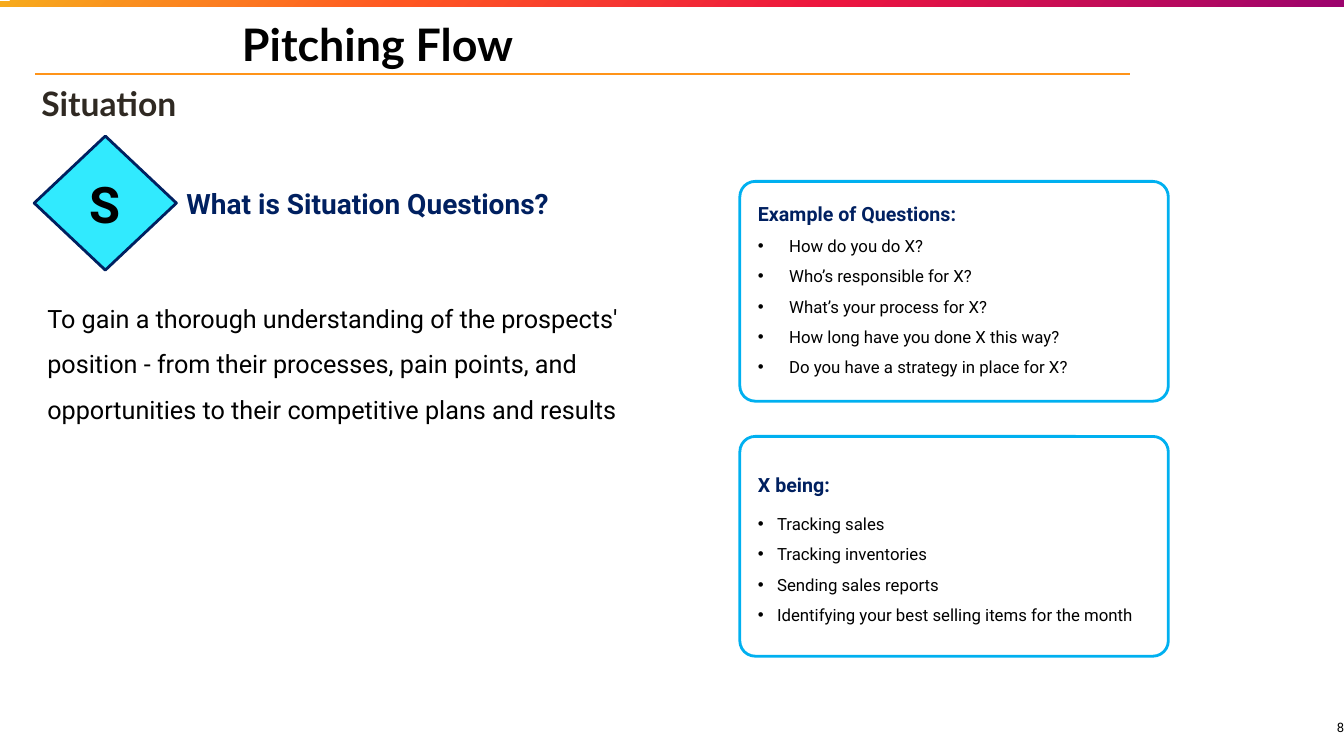
from dataclasses import dataclass

from lxml import etree
from pptx import Presentation
from pptx.dml.color import RGBColor
from pptx.enum.shapes import MSO_CONNECTOR, MSO_SHAPE
from pptx.enum.text import MSO_ANCHOR, PP_ALIGN
from pptx.oxml import parse_xml
from pptx.oxml.ns import nsdecls, qn
from pptx.util import Inches, Pt

COLORS = {
    "black": "000000", "brown": "2F2922", "navy": "002060", "cyan": "31EAFE",
    "sky": "00B0F0", "orange": "FF9419",
}
BAR_STOPS = [(0, "F7AB1D"), (30, "FF5722"), (62, "EC153F"), (100, "9C036D")]
BODY = ("To gain a thorough understanding of the prospects' position - from their processes, "
        "pain points, and opportunities to their competitive plans and results")
QUESTIONS = ["How do you do X?", "Who’s responsible for X?", "What’s your process for X?",
             "How long have you done X this way?", "Do you have a strategy in place for X?"]
SUBJECTS = ["Tracking sales", "Tracking inventories", "Sending sales reports",
            "Identifying your best selling items for the month"]
WIDE_INSETS = (0.1, 0.05)
SLIM_INSETS = (0.03, 0.03)


@dataclass
class Box:
    """A rectangle in EMU whose areas are given in percent of its size."""
    left: int
    top: int
    width: int
    height: int

    def area(self, left, top, width, height):
        """Return the box at the given percentages of this one."""
        return Box(self.left + int(self.width * left / 100), self.top + int(self.height * top / 100),
                   int(self.width * width / 100), int(self.height * height / 100))

    def bounds(self):
        """Return left, top, width and height."""
        return self.left, self.top, self.width, self.height


def rgb(name):
    """Look up a named colour."""
    return RGBColor.from_string(COLORS[name])


def write(shape, lines, size, color="black", bold=False, font="Roboto", align=PP_ALIGN.LEFT,
          anchor=MSO_ANCHOR.TOP, insets=WIDE_INSETS, spacing=None, bullet_indent=None):
    """Fill a shape with equally formatted paragraphs."""
    frame = shape.text_frame
    frame.text = "\n".join(lines)
    frame.word_wrap = True
    frame.vertical_anchor = anchor
    frame.margin_left = frame.margin_right = Inches(insets[0])
    frame.margin_top = frame.margin_bottom = Inches(insets[1])
    for paragraph in frame.paragraphs:
        paragraph.alignment = align
        if spacing:
            paragraph.line_spacing = spacing
        if bullet_indent:
            add_bullet(paragraph, bullet_indent)
        for run in paragraph.runs:
            run.font.name, run.font.size, run.font.bold = font, Pt(size), bold
            run.font.color.rgb = rgb(color)


def add_bullet(paragraph, indent):
    """Give a paragraph a black hanging bullet."""
    properties = paragraph._p.get_or_add_pPr()
    properties.set("marL", str(Inches(indent)))
    properties.set("indent", str(-Inches(indent)))
    color = etree.SubElement(properties, qn("a:buClr"))
    etree.SubElement(color, qn("a:srgbClr"), val=COLORS["black"])
    etree.SubElement(properties, qn("a:buFont"), typeface="Arial")
    etree.SubElement(properties, qn("a:buChar"), char="•")


def add_text(slide, box, lines, size, **style):
    """Add a text box."""
    write(slide.shapes.add_textbox(*box.bounds()), lines, size, **style)


def add_outline(slide, kind, box, line, fill=None):
    """Add a preset shape with a 2 pt outline."""
    shape = slide.shapes.add_shape(kind, *box.bounds())
    shape.shadow.inherit = False
    shape.line.color.rgb = rgb(line)
    shape.line.width = Pt(2)
    if fill:
        shape.fill.solid()
        shape.fill.fore_color.rgb = rgb(fill)
    else:
        shape.fill.background()
    return shape


def add_top_bar(slide, box):
    """Add the gradient bar."""
    bar = slide.shapes.add_shape(MSO_SHAPE.RECTANGLE, *box.bounds())
    bar.shadow.inherit = False
    bar.line.fill.background()
    bar.fill.gradient()
    gradient = bar._element.spPr.find(qn("a:gradFill"))
    stops = "".join(f'<a:gs pos="{position * 1000}"><a:srgbClr val="{color}"/></a:gs>'
                    for position, color in BAR_STOPS)
    gradient.getparent().replace(gradient, parse_xml(
        f'<a:gradFill {nsdecls("a")} rotWithShape="1"><a:gsLst>{stops}</a:gsLst>'
        '<a:lin ang="2700000" scaled="0"/></a:gradFill>'))


def add_header(slide, box):
    """Add the title, the rule below it and the subtitle."""
    rule = box.area(2.63, 9.8, 81.45, 0)
    connector = slide.shapes.add_connector(MSO_CONNECTOR.STRAIGHT, rule.left, rule.top,
                                           rule.left + rule.width, rule.top)
    connector.line.color.rgb = rgb("orange")
    connector.line.width = Pt(1.5)
    etree.SubElement(connector._element.spPr, qn("a:effectLst"))
    style = dict(font="Lato", bold=True, anchor=MSO_ANCHOR.MIDDLE, insets=SLIM_INSETS)
    add_text(slide, box.area(2.85, 10.93, 80.85, 5.33), ["Situation"], 24, color="brown", **style)
    add_text(slide, box.area(17.78, 0.67, 63.45, 10.27), ["Pitching Flow"], 32, **style)


def add_definition(slide, box):
    """Add the letter diamond, its heading and the explanation."""
    diamond = add_outline(slide, MSO_SHAPE.DIAMOND, box.area(2.55, 18, 10.58, 17.73), "navy", "cyan")
    write(diamond, ["S"], 36, bold=True, align=PP_ALIGN.CENTER, anchor=MSO_ANCHOR.MIDDLE)
    add_text(slide, box.area(13.13, 24, 30, 5.87), ["What is Situation Questions?"], 20,
             color="navy", bold=True)
    add_text(slide, box.area(2.78, 37.47, 50.03, 18.8), [BODY], 18, spacing=1.5)


def add_card(slide, box, title, items, title_top, list_top, indent):
    """Add a rounded card with a heading and a bulleted list."""
    card = add_outline(slide, MSO_SHAPE.ROUNDED_RECTANGLE, box, "sky")
    card.adjustments[0] = 0.07
    add_text(slide, box.area(1.9, title_top, 52, 19), [title], 14, color="navy", bold=True, spacing=1.5)
    add_text(slide, box.area(1.9, list_top, 97, 98 - list_top), items, 12, spacing=1.5,
             bullet_indent=indent)


def main():
    """Build and save the slide."""
    presentation = Presentation()
    presentation.slide_width, presentation.slide_height = Inches(13.33), Inches(7.5)
    slide = presentation.slides.add_slide(presentation.slide_layouts[6])
    page = Box(0, 0, presentation.slide_width, presentation.slide_height)
    add_top_bar(slide, page.area(0, 0.1, 100, 0.8))
    add_header(slide, page)
    add_definition(slide, page)
    cards = [("Example of Questions:", QUESTIONS, 1.8, 17.9, 0.31),
             ("X being:", SUBJECTS, 9.2, 28.4, 0.19)]
    for row, card in enumerate(cards):
        add_card(slide, page.area(55.05, 24 + row * 33.73, 31.88, 29.07), *card)
    add_text(slide, page.area(94, 92.4, 6, 7.6), ["8"], 9.3, align=PP_ALIGN.RIGHT,
             anchor=MSO_ANCHOR.MIDDLE, insets=(0, 0))
    presentation.save("out.pptx")


if __name__ == "__main__":
    main()
